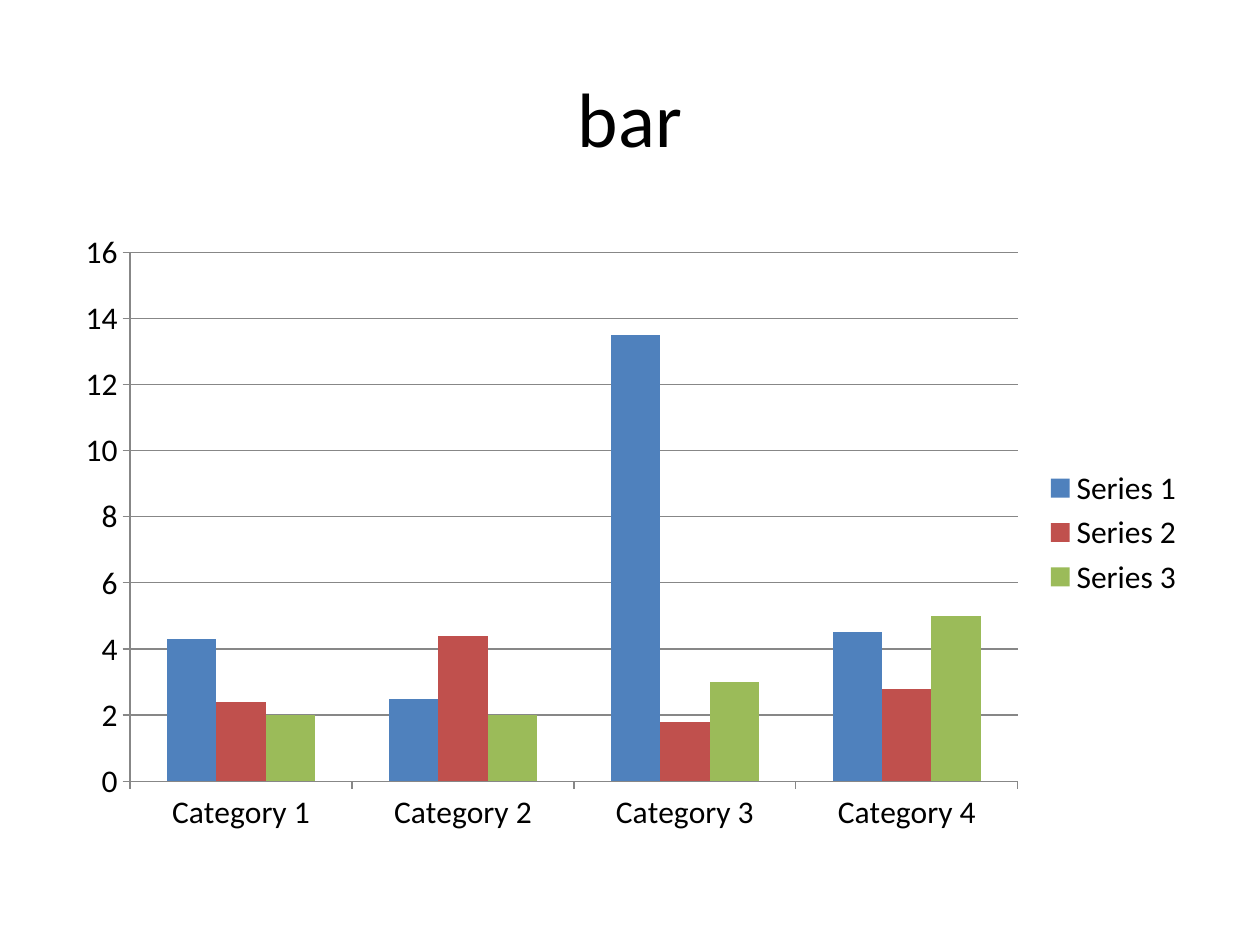
from pptx import Presentation
from pptx.chart.data import CategoryChartData
from pptx.dml.color import RGBColor
from pptx.enum import chart as ch, text
from pptx.util import Cm, Pt

FONT = "Calibri"
COLORS = {
    "text": "000000",
    "grid": "878787",
    "Series 1": "4F81BD",
    "Series 2": "C0504D",
    "Series 3": "9BBB59",
}
CATEGORIES = [f"Category {n}" for n in range(1, 5)]
SERIES = {
    "Series 1": (4.3, 2.5, 13.5, 4.5),
    "Series 2": (2.4, 4.4, 1.8, 2.8),
    "Series 3": (2, 2, 3, 5),
}
LEFT, WIDTH = Cm(1.27), Cm(22.86)


def color(name):
    return RGBColor.from_string(COLORS[name])


def style_font(font, size):
    font.name = FONT
    font.size = Pt(size)
    font.color.rgb = color("text")


def style_line(line):
    line.color.rgb = color("grid")
    line.width = Pt(0.75)


def add_title(slide, wording):
    title = slide.shapes.add_textbox(LEFT, Cm(0.76), WIDTH, Cm(3.18)).text_frame
    title.word_wrap = True
    title.vertical_anchor = text.MSO_ANCHOR.MIDDLE
    title.text = wording
    heading = title.paragraphs[0]
    heading.alignment = text.PP_ALIGN.CENTER
    style_font(heading.runs[0].font, 44)


def add_columns(slide):
    data = CategoryChartData()
    data.categories = CATEGORIES
    for name, values in SERIES.items():
        data.add_series(name, values)
    columns = slide.shapes.add_chart(
        ch.XL_CHART_TYPE.COLUMN_CLUSTERED, LEFT, Cm(4.45), WIDTH, Cm(12.57), data
    ).chart
    columns.has_title = False
    style_font(columns.font, 18)

    # Bars
    plot = columns.plots[0]
    plot.gap_width = 150
    plot.overlap = 0
    plot.vary_by_categories = False
    for series in plot.series:
        series.format.fill.solid()
        series.format.fill.fore_color.rgb = color(series.name)

    # Axes and gridlines
    for axis in (columns.category_axis, columns.value_axis):
        axis.major_tick_mark = ch.XL_TICK_MARK.OUTSIDE
        axis.minor_tick_mark = ch.XL_TICK_MARK.NONE
        style_line(axis.format.line)
    scale = columns.value_axis
    scale.minimum_scale, scale.maximum_scale, scale.major_unit = 0, 16, 2
    scale.has_major_gridlines = True
    style_line(scale.major_gridlines.format.line)

    # Legend
    columns.has_legend = True
    columns.legend.position = ch.XL_LEGEND_POSITION.RIGHT
    columns.legend.include_in_layout = False


def main():
    deck = Presentation()
    deck.slide_width, deck.slide_height = Cm(25.4), Cm(19.05)
    slide = deck.slides.add_slide(deck.slide_layouts[6])
    add_title(slide, "bar")
    add_columns(slide)
    deck.save("out.pptx")


main()
